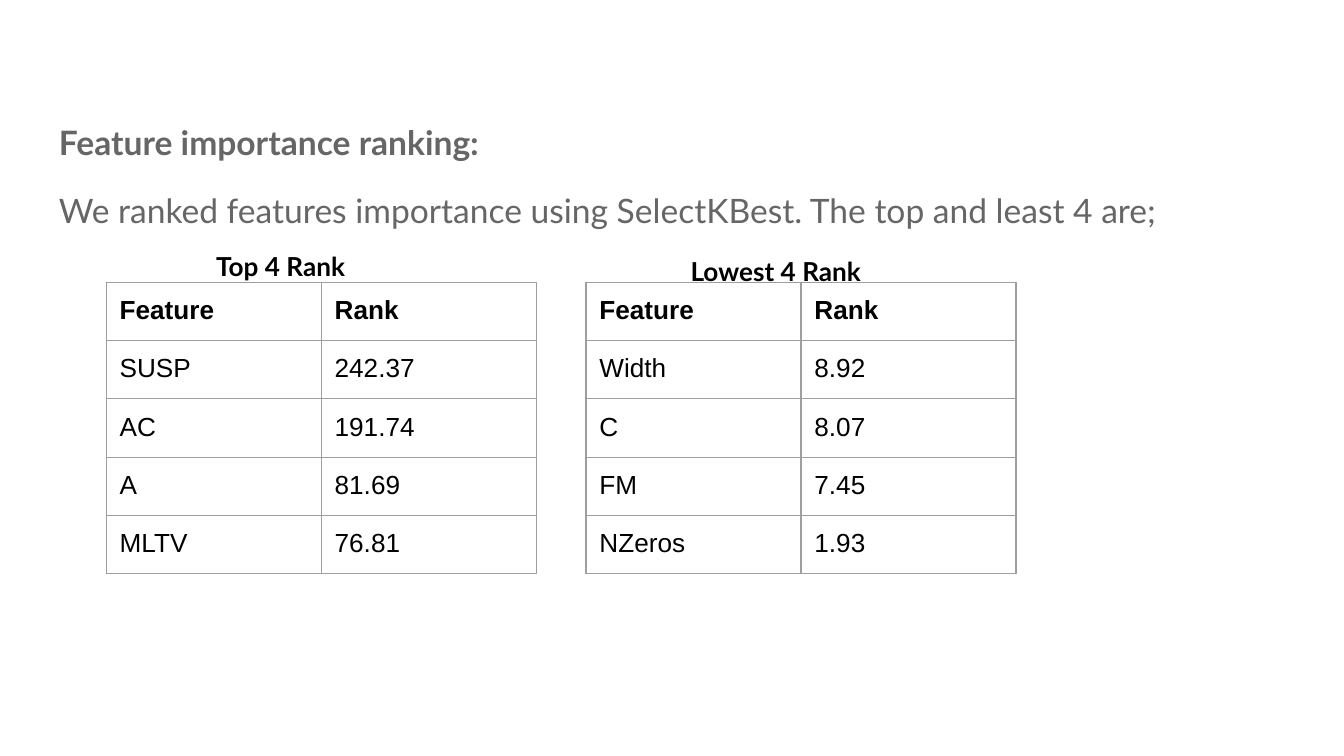
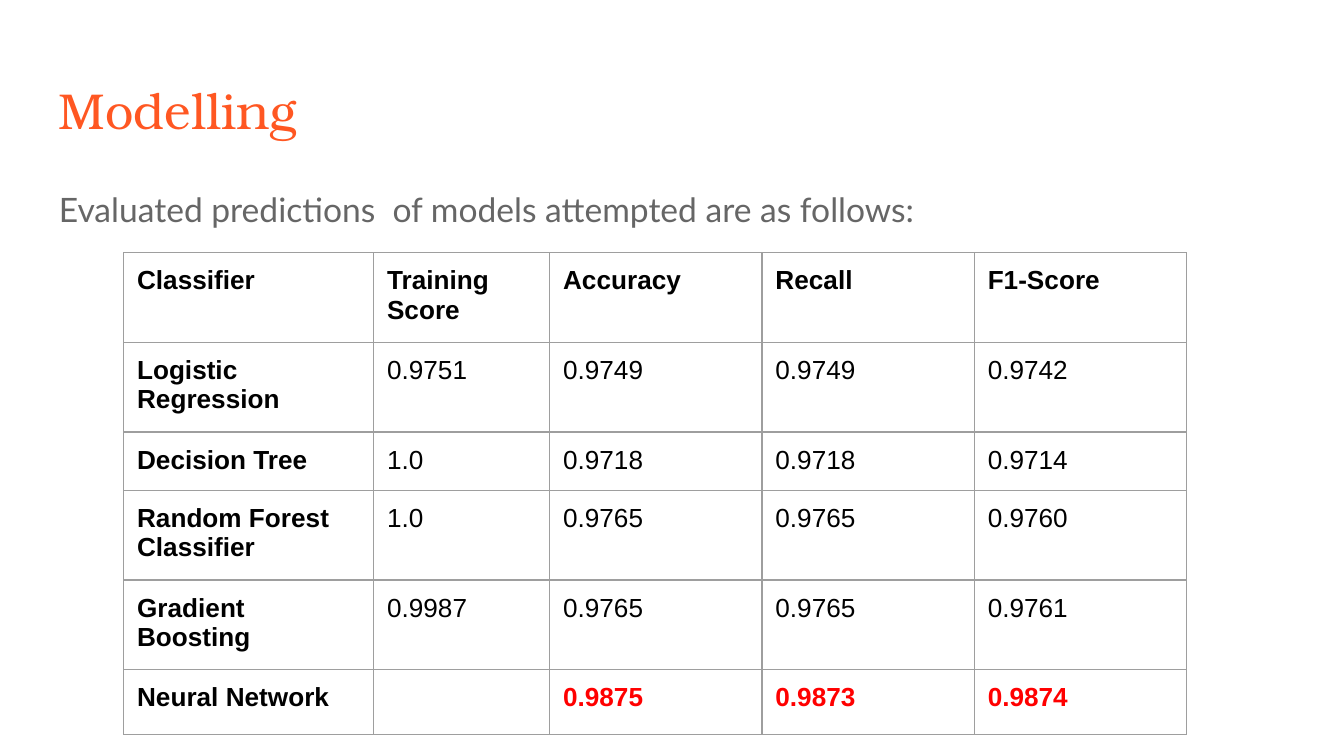
from dataclasses import dataclass

from lxml.etree import SubElement
from pptx import Presentation
from pptx.dml.color import RGBColor
from pptx.oxml.ns import qn
from pptx.util import Inches, Pt


@dataclass(frozen=True)
class Theme:
    title_font: str = "TeX Gyre Bonum"
    body_font: str = "Lato"
    table_font: str = "Arial"
    title_size: float = 27
    body_size: float = 18
    table_size: float = 14
    accent: str = "FF5722"
    grey: str = "666666"
    black: str = "000000"
    best: str = "FF0000"
    border: str = "9E9E9E"
    border_width: float = 0.75
    inset: float = 0.1
    left: float = 0.34
    width: float = 9.32


def write(para, text, *, font, size, color, bold=False, line=None, before=None, after=None):
    span = para.add_run()
    span.text = text
    span.font.name = font
    span.font.size = Pt(size)
    span.font.bold = bold
    span.font.color.rgb = RGBColor.from_string(color)
    if line:
        para.line_spacing = line
    if before:
        para.space_before = Pt(before)
    if after:
        para.space_after = Pt(after)


class SlideBuilder:
    def __init__(self, deck, theme):
        self.deck = deck
        self.theme = theme
        self.page = None

    def new_page(self):
        self.page = self.deck.slides.add_slide(self.deck.slide_layouts[6])

    def set_insets(self, target):
        """Give a text frame or a table cell the theme's inset on each side."""
        inset = Inches(self.theme.inset)
        target.margin_left = target.margin_right = inset
        target.margin_top = target.margin_bottom = inset

    def text(self, left, top, width, height):
        box = self.page.shapes.add_textbox(
            Inches(left), Inches(top), Inches(width), Inches(height))
        frame = box.text_frame
        frame.word_wrap = True
        self.set_insets(frame)
        return frame

    def title(self, text):
        theme = self.theme
        frame = self.text(theme.left, 0.49, theme.width, 0.63)
        write(frame.paragraphs[0], text, font=theme.title_font,
              size=theme.title_size, color=theme.accent)

    def body(self, top, height, *lines):
        """Add body text; each line is its wording and its extra format."""
        theme = self.theme
        frame = self.text(theme.left, top, theme.width, height)
        for index, (text, extra) in enumerate(lines):
            para = frame.add_paragraph() if index else frame.paragraphs[0]
            write(para, text, font=theme.body_font, size=theme.body_size,
                  color=theme.grey, line=1.15, **extra)

    def caption(self, left, top, width, text):
        theme = self.theme
        frame = self.text(left, top, width, 0.44)
        write(frame.paragraphs[0], text, font=theme.body_font,
              size=theme.table_size, color=theme.black, bold=True)

    def outline(self, cell):
        properties = cell._tc.get_or_add_tcPr()
        for side in ("a:lnL", "a:lnR", "a:lnT", "a:lnB"):
            line = SubElement(properties, qn(side), w=str(Pt(self.theme.border_width)))
            fill = SubElement(line, qn("a:solidFill"))
            SubElement(fill, qn("a:srgbClr"), val=self.theme.border)

    def table(self, left, top, widths, heights, rows, *, bold_labels=False, best_row=None):
        """Add a table with a bold header; best_row is bold and highlighted."""
        theme = self.theme
        grid = self.page.shapes.add_table(
            len(rows), len(widths), Inches(left), Inches(top),
            Inches(sum(widths)), Inches(sum(heights))).table
        grid.first_row = grid.horz_banding = False
        for column, width in zip(grid.columns, widths):
            column.width = Inches(width)
        for r, (values, height) in enumerate(zip(rows, heights)):
            grid.rows[r].height = Inches(height)
            for c, value in enumerate(values):
                cell = grid.cell(r, c)
                self.outline(cell)
                cell.fill.background()
                if not value:
                    continue
                self.set_insets(cell)
                is_label = bold_labels and c == 0
                is_best = r == best_row and not is_label
                write(cell.text_frame.paragraphs[0], value, font=theme.table_font,
                      size=theme.table_size, bold=r == 0 or is_label or is_best,
                      color=theme.best if is_best else theme.black)


def add_feature_ranking(builder):
    builder.new_page()
    builder.body(
        0.76, 4.24,
        ("Feature importance ranking:", {"bold": True}),
        ("We ranked features importance using SelectKBest. The top and least 4 are;",
         {"before": 12}))
    header = ("Feature", "Rank")
    top_features = [header, ("SUSP", "242.37"), ("AC", "191.74"),
                    ("A", "81.69"), ("MLTV", "76.81")]
    lowest_features = [header, ("Width", "8.92"), ("C", "8.07"),
                       ("FM", "7.45"), ("NZeros", "1.93")]
    for left, rows in ((0.79, top_features), (4.36, lowest_features)):
        builder.table(left, 2.1, [1.6] * 2, [0.43] * len(rows), rows)
    builder.caption(1.51, 1.76, 1.23, "Top 4 Rank")
    builder.caption(5.04, 1.8, 1.63, "Lowest 4 Rank")


def add_modelling(builder):
    builder.new_page()
    builder.title("Modelling")
    builder.body(1.26, 3.74, (
        "Evaluated predictions  of models attempted are as follows:", {"after": 12}))
    scores = [
        ("Classifier", "Training Score", "Accuracy", "Recall", "F1-Score"),
        ("Logistic Regression", "0.9751", "0.9749", "0.9749", "0.9742"),
        ("Decision Tree", "1.0", "0.9718", "0.9718", "0.9714"),
        ("Random Forest Classifier", "1.0", "0.9765", "0.9765", "0.9760"),
        ("Gradient Boosting", "0.9987", "0.9765", "0.9765", "0.9761"),
        ("Neural Network", "", "0.9875", "0.9873", "0.9874"),
    ]
    one_line, two_lines, last = 0.42, 0.64, 0.48
    heights = [two_lines, two_lines, one_line, two_lines, two_lines, last]
    builder.table(0.92, 1.88, [1.86, 1.31] + [1.58] * 3, heights, scores,
                  bold_labels=True, best_row=len(scores) - 1)


def main():
    deck = Presentation()
    deck.slide_width = Inches(10)
    deck.slide_height = Inches(10 * 9 / 16)
    builder = SlideBuilder(deck, Theme())
    add_feature_ranking(builder)
    add_modelling(builder)
    deck.save("out.pptx")


if __name__ == "__main__":
    main()
